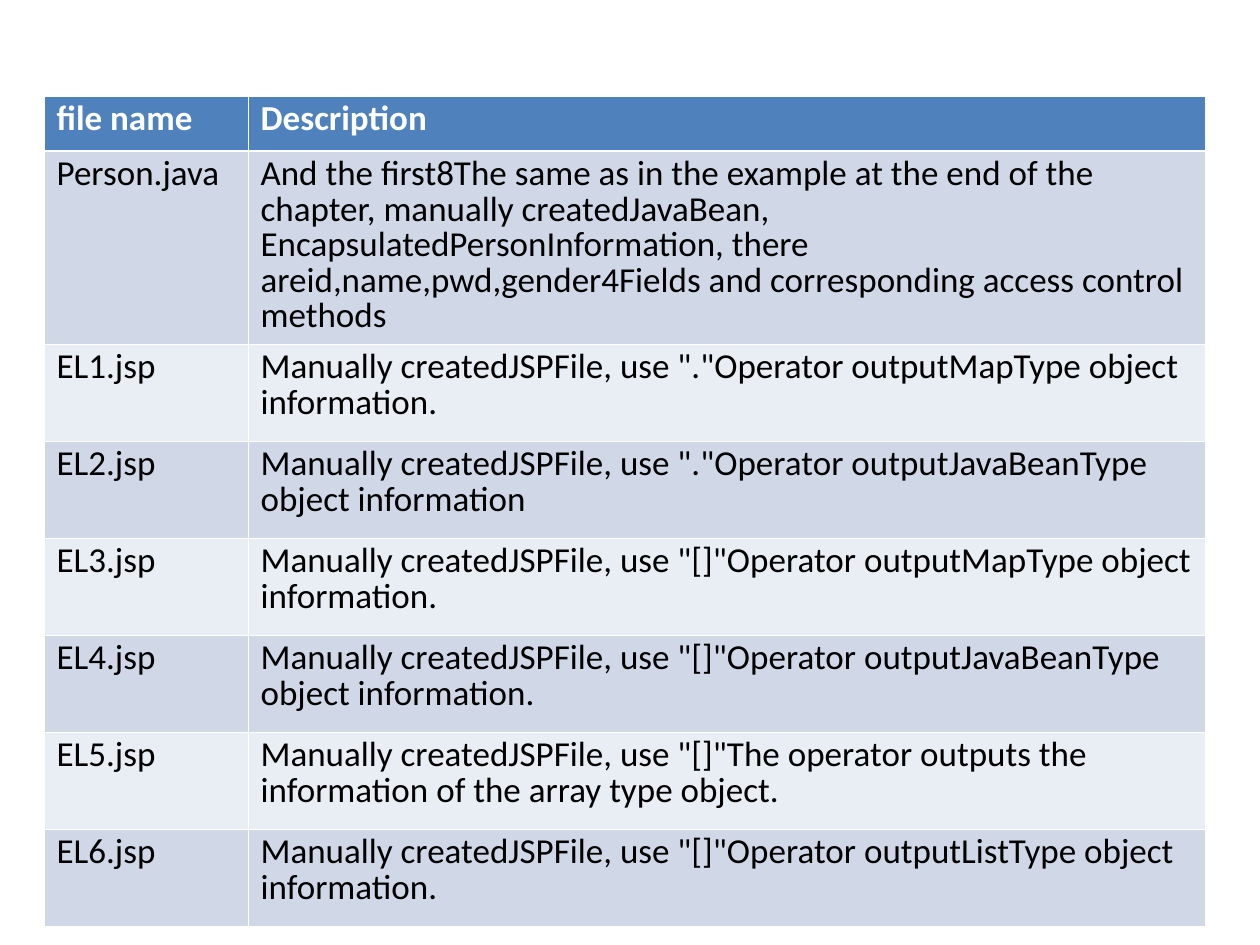
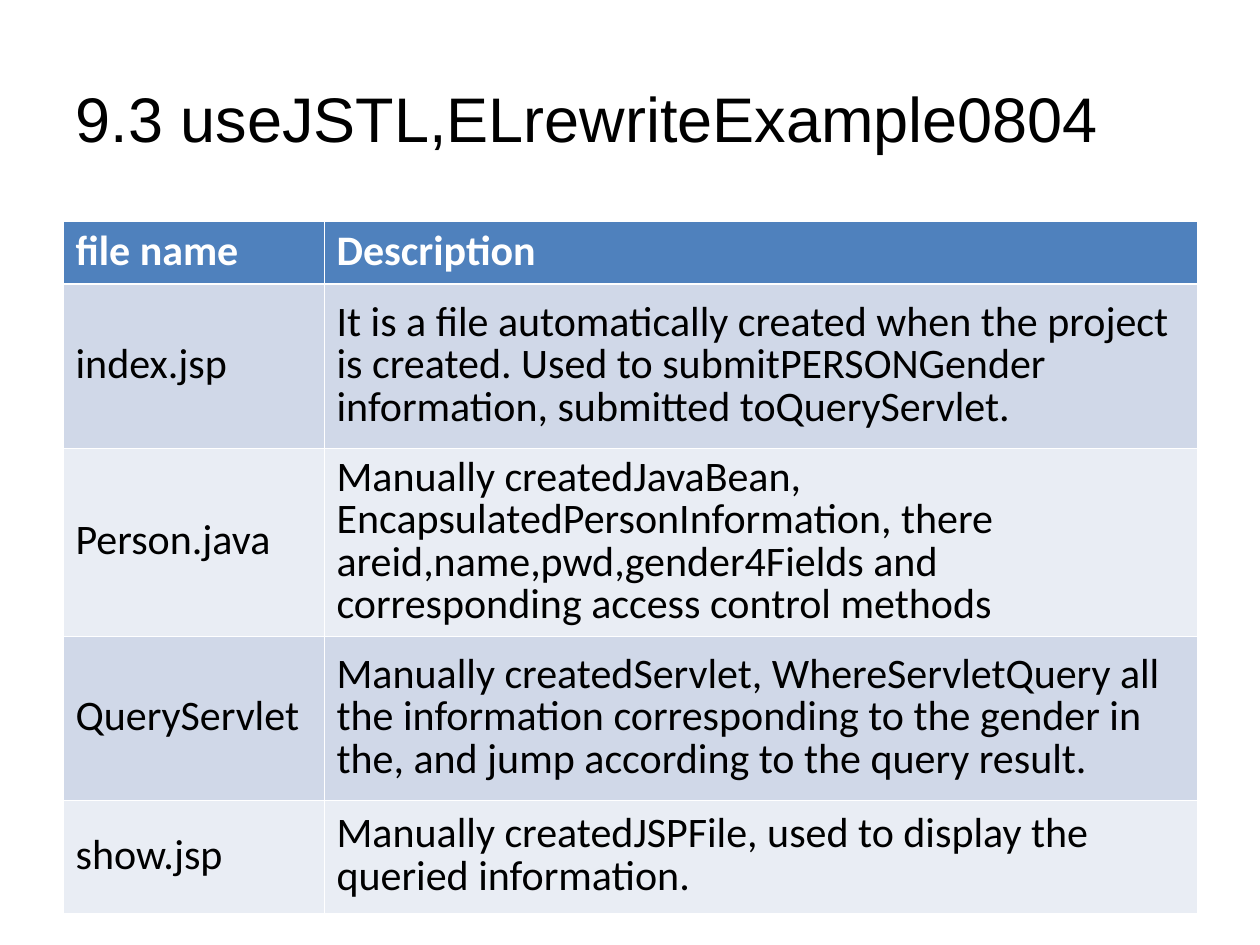
from dataclasses import dataclass

from lxml.etree import SubElement
from pptx import Presentation
from pptx.dml.color import RGBColor as RGB
from pptx.enum.text import MSO_ANCHOR as Anchor, PP_ALIGN as Align
from pptx.oxml.ns import qn
from pptx.util import Emu, Pt

EMU_PER_INCH = 914400
PX_PER_INCH = 126
SLIDE_SIZE = (1260, 945)


@dataclass(frozen=True)
class Theme:
    header: str = "4F81BD"
    bands: tuple = ("D0D8E8", "E9EDF4")
    rule: str = "FFFFFF"
    header_text: str = "FFFFFF"
    text: str = "000000"
    title_font: str = "Arial"
    table_font: str = "Calibri"
    title_size: int = 36
    roomy_size: int = 24
    dense_size: int = 20
    line_spacing: float = 0.83
    thin: float = 0.23
    thick: float = 0.75


THEME = Theme()
HEADINGS = ("file name", "Description")

EL_FILES = [
    ("Person.java", "And the first8The same as in the example at the end of the chapter, "
     "manually createdJavaBean, EncapsulatedPersonInformation, there "
     "areid,name,pwd,gender4Fields and corresponding access control methods"),
    ("EL1.jsp", 'Manually createdJSPFile, use "."Operator outputMapType object information.'),
    ("EL2.jsp", 'Manually createdJSPFile, use "."Operator outputJavaBeanType object information'),
    ("EL3.jsp", 'Manually createdJSPFile, use "[]"Operator outputMapType object information.'),
    ("EL4.jsp", 'Manually createdJSPFile, use "[]"Operator outputJavaBeanType object information.'),
    ("EL5.jsp", 'Manually createdJSPFile, use "[]"The operator outputs the information '
     "of the array type object."),
    ("EL6.jsp", 'Manually createdJSPFile, use "[]"Operator outputListType object information.'),
]

REWRITE_FILES = [
    ("index.jsp", "It is a file automatically created when the project is created. "
     "Used to submitPERSONGender information, submitted toQueryServlet."),
    ("Person.java", "Manually createdJavaBean, EncapsulatedPersonInformation, there "
     "areid,name,pwd,gender4Fields and corresponding access control methods"),
    ("QueryServlet", "Manually createdServlet, WhereServletQuery all the information "
     "corresponding to the gender in the, and jump according to the query result."),
    ("show.jsp", "Manually createdJSPFile, used to display the queried information."),
]


def px(length):
    return Emu(round(length * EMU_PER_INCH / PX_PER_INCH))


def add_run(paragraph, text, font_name, size, color, bold=False):
    run = paragraph.add_run()
    run.text = text
    run.font.name = font_name
    run.font.size = Pt(size)
    run.font.bold = bold
    run.font.color.rgb = RGB.from_string(color)


def rule_cell(cell, row):
    """Draw the cell's four borders, heavier between header and body."""
    widths = {
        "a:lnL": THEME.thin,
        "a:lnR": THEME.thin,
        "a:lnT": THEME.thick if row == 1 else THEME.thin,
        "a:lnB": THEME.thick if row == 0 else THEME.thin,
    }
    properties = cell._tc.get_or_add_tcPr()
    for side, width in widths.items():
        line = SubElement(properties, qn(side), w=str(Pt(width)))
        fill = SubElement(line, qn("a:solidFill"))
        SubElement(fill, qn("a:srgbClr"), val=THEME.rule)


def fill_cell(cell, row, text, size, anchor):
    is_header = row == 0
    rule_cell(cell, row)
    cell.fill.solid()
    cell.fill.fore_color.rgb = RGB.from_string(
        THEME.header if is_header else THEME.bands[(row - 1) % 2])
    cell.vertical_anchor = anchor
    paragraph = cell.text_frame.paragraphs[0]
    paragraph.line_spacing = THEME.line_spacing
    add_run(paragraph, text, THEME.table_font, size,
            THEME.header_text if is_header else THEME.text, is_header)


def add_file_table(slide, origin, columns, heights, files, size, anchor):
    """Place a table of files at origin, sized by its columns and row heights."""
    left, top = origin
    rows = [HEADINGS, *files]
    table = slide.shapes.add_table(
        len(rows), len(columns), px(left), px(top),
        px(sum(columns)), px(sum(heights))).table
    for column, width in zip(table.columns, columns):
        column.width = px(width)
    for row, (texts, height) in enumerate(zip(rows, heights)):
        table.rows[row].height = px(height)
        for column, text in enumerate(texts):
            fill_cell(table.cell(row, column), row, text, size, anchor)


def set_title(slide, box, text):
    title = slide.shapes.title
    title.left, title.top, title.width, title.height = map(px, box)
    frame = title.text_frame
    frame.vertical_anchor = Anchor.MIDDLE
    paragraph = frame.paragraphs[0]
    paragraph.alignment = Align.LEFT
    add_run(paragraph, text, THEME.title_font, THEME.title_size, THEME.text)


def build_el_slide(deck):
    slide = deck.slides.add_slide(deck.slide_layouts[6])
    add_file_table(slide, (44, 96), (204, 957), [55, 193] + [97] * 6,
                   EL_FILES, THEME.dense_size, Anchor.TOP)


def build_rewrite_slide(deck):
    slide = deck.slides.add_slide(deck.slide_layouts[5])
    set_title(slide, (63, 38, 1134, 158), "9.3 useJSTL,ELrewriteExample0804")
    add_file_table(slide, (63, 221), (261, 873), [63, 164, 188, 164, 113],
                   REWRITE_FILES, THEME.roomy_size, Anchor.MIDDLE)


def main():
    deck = Presentation()
    deck.slide_width, deck.slide_height = map(px, SLIDE_SIZE)
    build_el_slide(deck)
    build_rewrite_slide(deck)
    deck.save("out.pptx")


if __name__ == "__main__":
    main()
